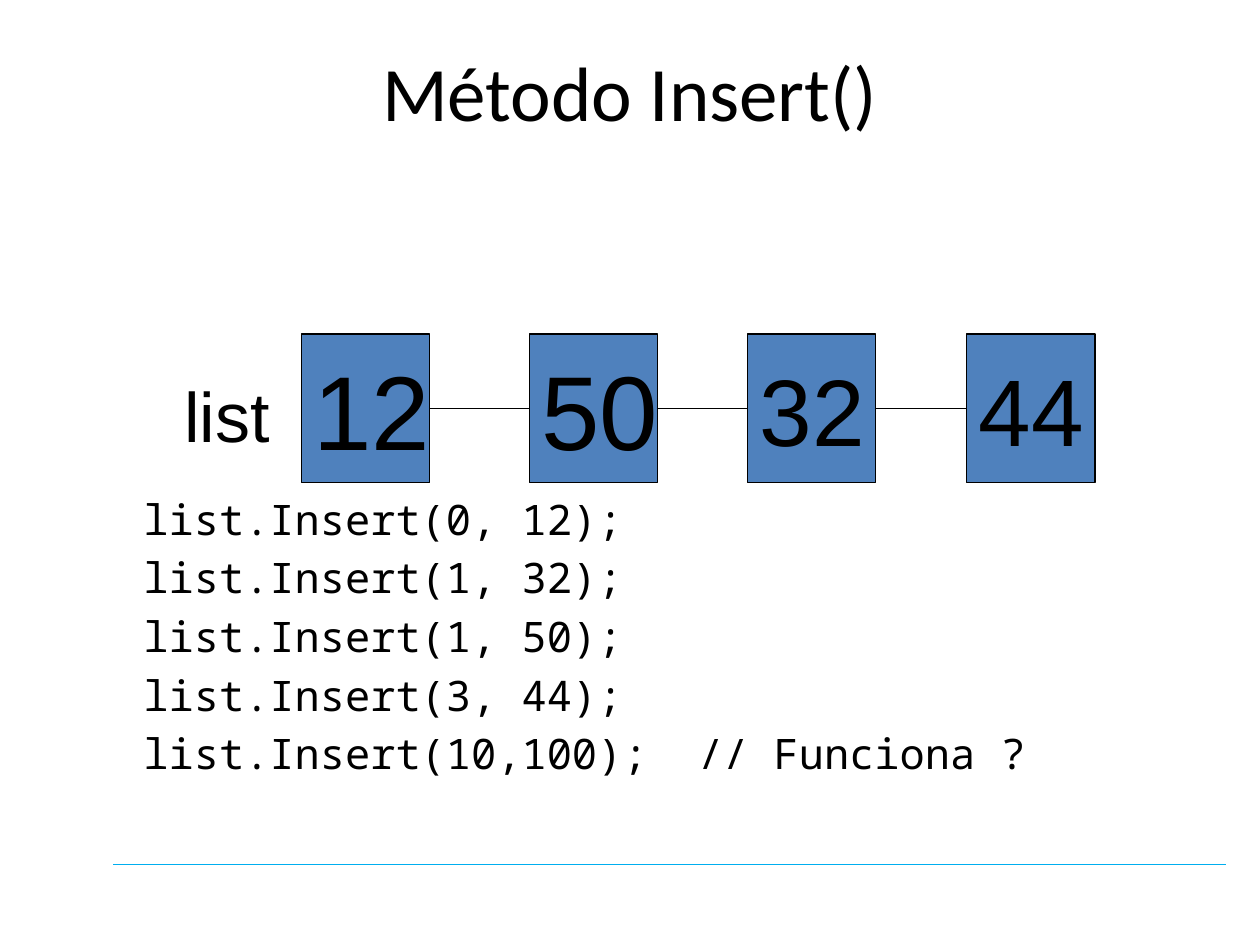
from dataclasses import dataclass

from lxml import etree
from pptx import Presentation, util as u
from pptx.dml.color import RGBColor
from pptx.enum import shapes, text
from pptx.oxml import ns


@dataclass(frozen=True)
class Theme:
    ink: str = "000000"
    node: str = "4F81BD"
    rule: str = "00AEEF"
    heading: str = "Calibri"
    body: str = "Arial"
    code: str = "Noto Sans Mono"
    title_size: int = 44
    label_size: int = 40
    code_size: int = 24
    large_value: int = 60
    small_value: int = 54
    line_width: float = 0.75


def write_text(frame, content, *, font, size, color, align=text.PP_ALIGN.LEFT,
               anchor=text.MSO_ANCHOR.TOP, wrap=True, pitch=None):
    frame.word_wrap = wrap
    frame.auto_size = text.MSO_AUTO_SIZE.NONE
    frame.vertical_anchor = anchor
    for index, line in enumerate(content.split("\n")):
        paragraph = frame.add_paragraph() if index else frame.paragraphs[0]
        paragraph.alignment = align
        if pitch:
            paragraph.line_spacing = u.Pt(pitch)
        run = paragraph.add_run()
        run.text = line
        run.font.name = font
        run.font.size = u.Pt(size)
        run.font.color.rgb = RGBColor.from_string(color)


class SlideBuilder:
    COLUMNS, ROWS = 100, 75

    def __init__(self, presentation, theme):
        self.theme = theme
        self.column = presentation.slide_width / self.COLUMNS
        self.row = presentation.slide_height / self.ROWS
        self.slide = presentation.slides.add_slide(presentation.slide_layouts[5])

    def place(self, *lengths):
        return [round(length * unit)
                for length, unit in zip(lengths, (self.column, self.row) * 2)]

    def title(self, content, *box):
        shape = self.slide.shapes.title
        shape.left, shape.top, shape.width, shape.height = self.place(*box)
        write_text(shape.text_frame, content, font=self.theme.heading,
                   size=self.theme.title_size, color=self.theme.ink,
                   align=text.PP_ALIGN.CENTER)

    def text_box(self, content, *box, **style):
        shape = self.slide.shapes.add_textbox(*self.place(*box))
        write_text(shape.text_frame, content, color=self.theme.ink, **style)

    def node(self, value, size, *box):
        shape = self.slide.shapes.add_shape(shapes.MSO_SHAPE.RECTANGLE, *self.place(*box))
        shape.shadow.inherit = False
        shape.fill.solid()
        shape.fill.fore_color.rgb = RGBColor.from_string(self.theme.node)
        self.outline(shape.line, self.theme.ink)
        write_text(shape.text_frame, value, font=self.theme.body, size=size,
                   color=self.theme.ink, anchor=text.MSO_ANCHOR.MIDDLE, wrap=False)

    def line(self, start, end, row, color):
        connector = self.slide.shapes.add_connector(
            shapes.MSO_CONNECTOR.STRAIGHT, *self.place(start, row, end, row))
        self.outline(connector.line, color)
        properties = connector.element.find(ns.qn("p:spPr"))
        etree.SubElement(properties, ns.qn("a:effectLst"))

    def outline(self, line, color):
        line.color.rgb = RGBColor.from_string(color)
        line.width = u.Pt(self.theme.line_width)


def main():
    presentation = Presentation()
    presentation.slide_width, presentation.slide_height = u.Inches(10), u.Inches(7.5)
    theme = Theme()
    builder = SlideBuilder(presentation, theme)

    builder.line(9, 97.3, 68.6, theme.rule)
    builder.title("Método Insert()", 5, 3, 90, 12.5)

    node_width, node_height, node_top = 10.2, 11.8, 26.5
    nodes = [("12", theme.large_value, 23.9), ("50", theme.large_value, 42),
             ("32", theme.small_value, 59.3), ("44", theme.small_value, 76.7)]
    for value, size, left in nodes:
        builder.node(value, size, left, node_top, node_width, node_height)
    for (_, _, left), (_, _, following) in zip(nodes, nodes[1:]):
        builder.line(left + node_width, following, node_top + node_height / 2, theme.ink)

    calls = ["0, 12);", "1, 32);", "1, 50);", "3, 44);", "10,100);  // Funciona ?"]
    builder.text_box("\n".join(f"list.Insert({call}" for call in calls),
                     10.4, 38, 90, 28.8, font=theme.code, size=theme.code_size,
                     pitch=33.5)
    builder.text_box("list", 7.4, 29.1, 15, 7.7, font=theme.body,
                     size=theme.label_size, align=text.PP_ALIGN.RIGHT)

    presentation.save("out.pptx")


if __name__ == "__main__":
    main()
